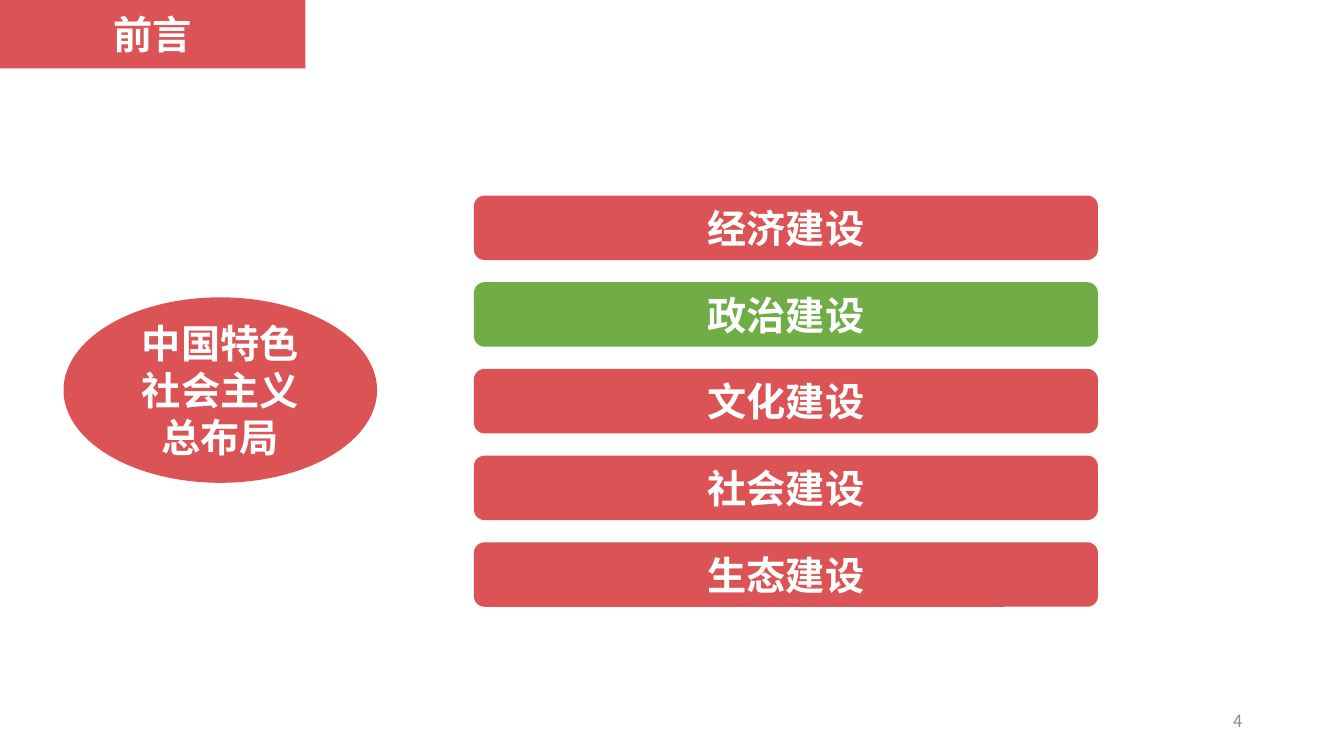
from dataclasses import dataclass

import lxml.etree
import pptx
import pptx.dml.color
import pptx.enum.shapes
import pptx.enum.text
import pptx.oxml.ns
import pptx.presentation
import pptx.shapes.autoshape
import pptx.slide
import pptx.text.text
import pptx.util

Inches = pptx.util.Inches
Preset = pptx.enum.shapes.MSO_SHAPE
Align = pptx.enum.text.PP_ALIGN


@dataclass(frozen=True)
class Theme:
    font: str = "Noto Sans CJK SC"
    red: str = "DB5355"
    bar_red: str = "DB5354"
    green: str = "70AD47"
    white: str = "FFFFFF"
    grey: str = "8C8C8C"
    label_size: int = 28
    number_size: int = 12


@dataclass(frozen=True)
class Box:
    left: float
    top: float
    width: float
    height: float

    def lengths(self) -> tuple[int, int, int, int]:
        return (Inches(self.left), Inches(self.top),
                Inches(self.width), Inches(self.height))


@dataclass(frozen=True)
class Block:
    text: str
    preset: Preset
    box: Box
    fill: str


THEME = Theme()

BAR_LEFT, BAR_TOP, BAR_WIDTH, BAR_HEIGHT, BAR_PITCH = 4.7, 1.94, 6.19, 0.64, 0.86
CONSTRUCTION_AREAS = ("经济建设", "政治建设", "文化建设", "社会建设", "生态建设")
HIGHLIGHTED_AREA = "政治建设"


def set_text(frame: pptx.text.text.TextFrame, text: str, size: int,
             color: str, align: Align, bold: bool) -> None:
    frame.text = text
    frame.word_wrap = True
    frame.vertical_anchor = pptx.enum.text.MSO_ANCHOR.MIDDLE
    for paragraph in frame.paragraphs:
        paragraph.alignment = align
        for run in paragraph.runs:
            run.font.size = pptx.util.Pt(size)
            run.font.bold = bold
            run.font.color.rgb = pptx.dml.color.RGBColor.from_string(color)
            run.font.name = THEME.font
            east_asian = lxml.etree.SubElement(
                run.font._element, pptx.oxml.ns.qn("a:ea"))
            east_asian.set("typeface", THEME.font)


def add_block(slide: pptx.slide.Slide, block: Block) -> None:
    shape = slide.shapes.add_shape(block.preset, *block.box.lengths())
    shape.shadow.inherit = False
    shape.fill.solid()
    shape.fill.fore_color.rgb = pptx.dml.color.RGBColor.from_string(block.fill)
    shape.line.fill.background()
    set_text(shape.text_frame, block.text, THEME.label_size, THEME.white,
             Align.CENTER, bold=True)


def add_page_number(slide: pptx.slide.Slide, number: str) -> None:
    page_number = slide.shapes.add_textbox(*Box(9.42, 6.95, 3, 0.4).lengths())
    set_text(page_number.text_frame, number, THEME.number_size, THEME.grey,
             Align.RIGHT, bold=False)


def area_bar(row: int, area: str) -> Block:
    box = Box(BAR_LEFT, BAR_TOP + row * BAR_PITCH, BAR_WIDTH, BAR_HEIGHT)
    fill = THEME.green if area == HIGHLIGHTED_AREA else THEME.bar_red
    return Block(area, Preset.ROUNDED_RECTANGLE, box, fill)


def main() -> None:
    presentation = pptx.Presentation()
    presentation.slide_width = Inches(13.33)
    presentation.slide_height = Inches(7.5)
    slide = presentation.slides.add_slide(presentation.slide_layouts[6])

    add_page_number(slide, "4")
    add_block(slide, Block("前言", Preset.RECTANGLE,
                           Box(0, 0, 3.03, 0.68), THEME.red))
    add_block(slide, Block("中国特色\n社会主义\n总布局", Preset.OVAL,
                           Box(0.63, 2.95, 3.11, 1.84), THEME.red))
    for row, area in enumerate(CONSTRUCTION_AREAS):
        add_block(slide, area_bar(row, area))

    presentation.save("out.pptx")


if __name__ == "__main__":
    main()
